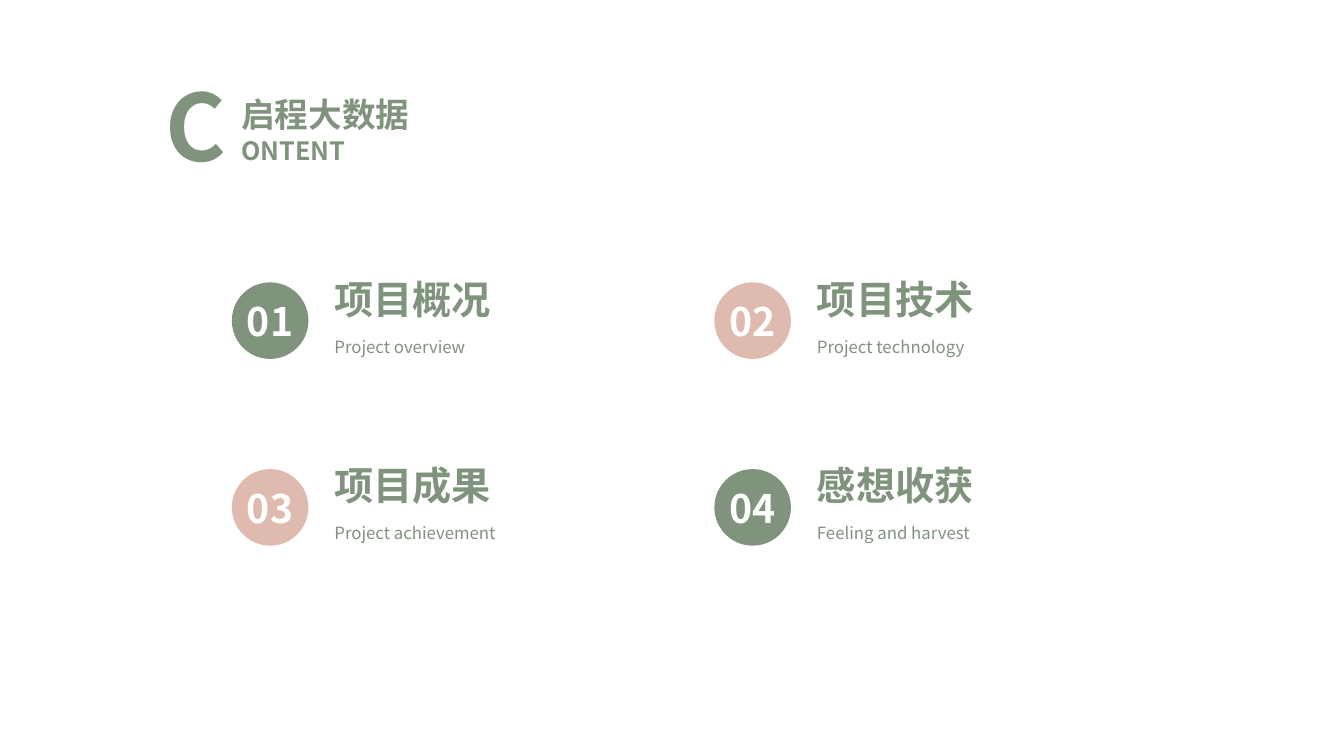
from lxml import etree
from pptx import Presentation
from pptx.dml.color import RGBColor
from pptx.enum.shapes import MSO_SHAPE
from pptx.enum.text import MSO_ANCHOR, MSO_AUTO_SIZE, PP_ALIGN
from pptx.oxml.ns import qn
from pptx.util import Inches, Pt

SAGE = RGBColor(0x80, 0x93, 0x7D)
ROSE = RGBColor(0xDF, 0xBB, 0xAF)
WHITE = RGBColor(0xFF, 0xFF, 0xFF)
FONT = "Noto Sans CJK SC"

OVAL = MSO_SHAPE.OVAL
TOP, MIDDLE = MSO_ANCHOR.TOP, MSO_ANCHOR.MIDDLE
GROW, FIXED = MSO_AUTO_SIZE.SHAPE_TO_FIT_TEXT, MSO_AUTO_SIZE.NONE
LEFT, CENTER, JUSTIFY = PP_ALIGN.LEFT, PP_ALIGN.CENTER, PP_ALIGN.JUSTIFY

TITLE_ONLY = 5
COLUMN_PITCH, ROW_PITCH = 35.9, 24.7
TOPICS = [
    ("项目概况", "Project overview"),
    ("项目技术", "Project technology"),
    ("项目成果", "Project achievement"),
    ("感想收获", "Feeling and harvest"),
]


class ContentsSlide:
    """Places elements by percent of the slide's width and height."""

    def __init__(self, deck):
        self.deck = deck
        self.slide = deck.slides.add_slide(deck.slide_layouts[TITLE_ONLY])

    def box(self, left, top, width, height):
        """Turn percentages into slide lengths."""
        across, down = self.deck.slide_width / 100, self.deck.slide_height / 100
        return (int(left * across), int(top * down),
                int(width * across), int(height * down))

    def set_text(self, shape, wording, size, color=SAGE, bold=True,
                 align=JUSTIFY, spacing=1.0, wrap=True, anchor=TOP,
                 auto_size=GROW):
        frame = shape.text_frame
        paragraph = frame.paragraphs[0]
        run = paragraph.add_run()
        run.text = wording
        formats = [
            (frame, {"word_wrap": wrap, "vertical_anchor": anchor,
                     "auto_size": auto_size}),
            (paragraph, {"alignment": align, "line_spacing": spacing}),
            (run.font, {"name": FONT, "size": Pt(size), "bold": bold}),
        ]
        for target, values in formats:
            for attribute, value in values.items():
                setattr(target, attribute, value)
        run.font.color.rgb = color
        east_asian = etree.SubElement(run._r.get_or_add_rPr(), qn("a:ea"))
        east_asian.set("typeface", FONT)

    def title(self, wording, area, size):
        placeholder = self.slide.shapes.title
        sides = zip(("left", "top", "width", "height"), self.box(*area))
        for side, length in sides:
            setattr(placeholder, side, length)
        self.set_text(placeholder, wording, size)

    def label(self, wording, area, size, **formats):
        self.set_text(self.slide.shapes.add_textbox(*self.box(*area)),
                      wording, size, **formats)

    def badge(self, number, area, color):
        circle = self.slide.shapes.add_shape(OVAL, *self.box(*area))
        circle.shadow.inherit = False
        circle.fill.solid()
        circle.fill.fore_color.rgb = color
        circle.line.fill.background()
        self.set_text(circle, number, 28, color=WHITE, align=CENTER,
                      wrap=False, anchor=MIDDLE, auto_size=FIXED)

    def topic(self, index, heading, subtitle):
        row, column = divmod(index, 2)
        x, y = column * COLUMN_PITCH, row * ROW_PITCH
        color = SAGE if row == column else ROSE
        self.badge(f"{index + 1:02}", (17.25 + x, 37.35 + y, 5.7, 10.13), color)
        self.label(heading, (24.15 + x, 35.7 + y, 21.1, 7.6), 28)
        self.label(subtitle, (24.15 + x, 42.5 + y, 22.8, 5.3), 12,
                   bold=False, align=LEFT, spacing=1.5)


def main():
    deck = Presentation()
    deck.slide_width, deck.slide_height = Inches(13.33), Inches(7.5)
    contents = ContentsSlide(deck)
    contents.label("C", (11.6, 8.5, 6.3, 16.1), 66, align=LEFT, wrap=False)
    contents.label("ONTENT", (17.2, 17.3, 14.9, 5.3), 18)
    contents.title("启程大数据", (17.2, 11.7, 14.9, 6.7), 24)
    for index, (heading, subtitle) in enumerate(TOPICS):
        contents.topic(index, heading, subtitle)
    deck.save("out.pptx")


if __name__ == "__main__":
    main()
